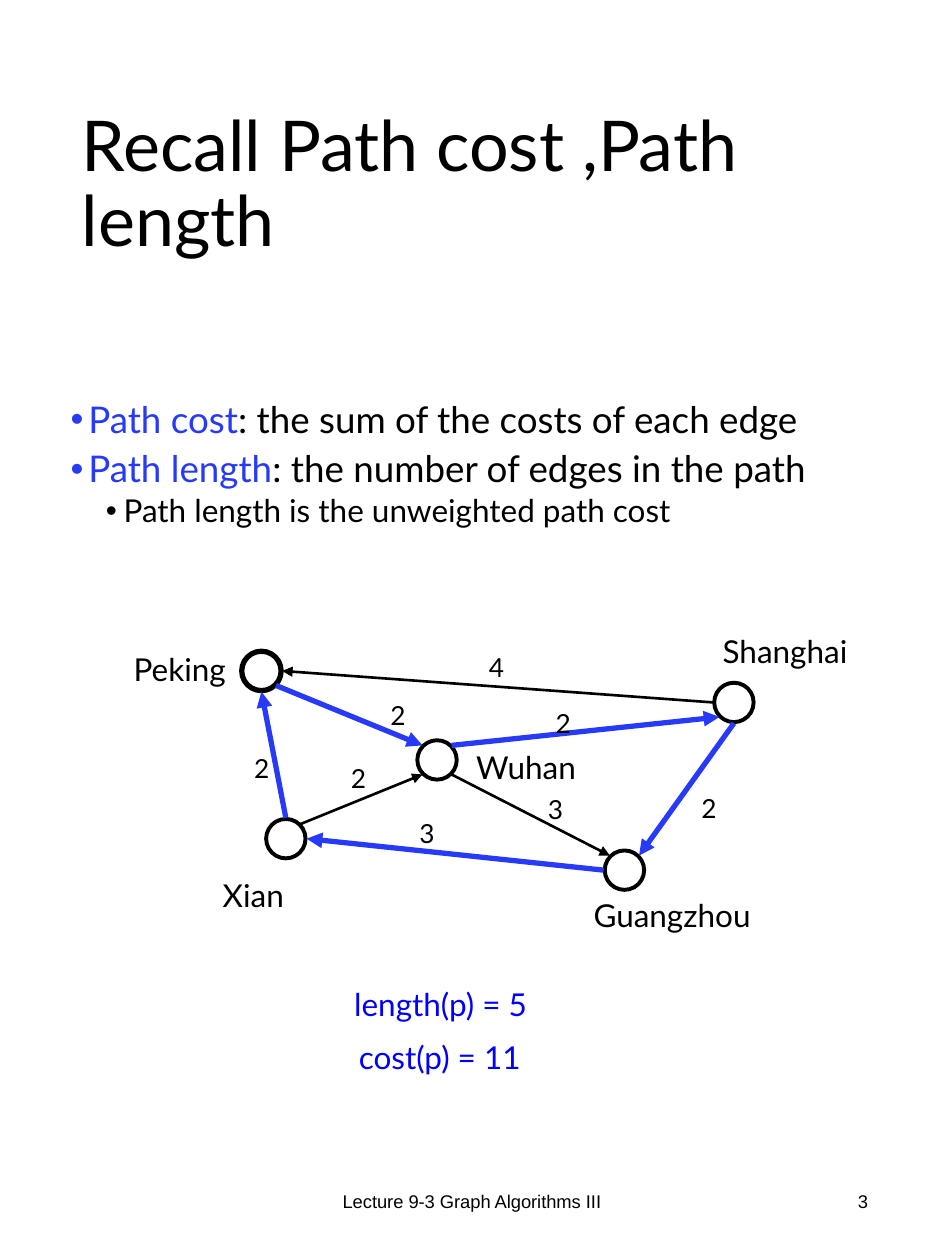
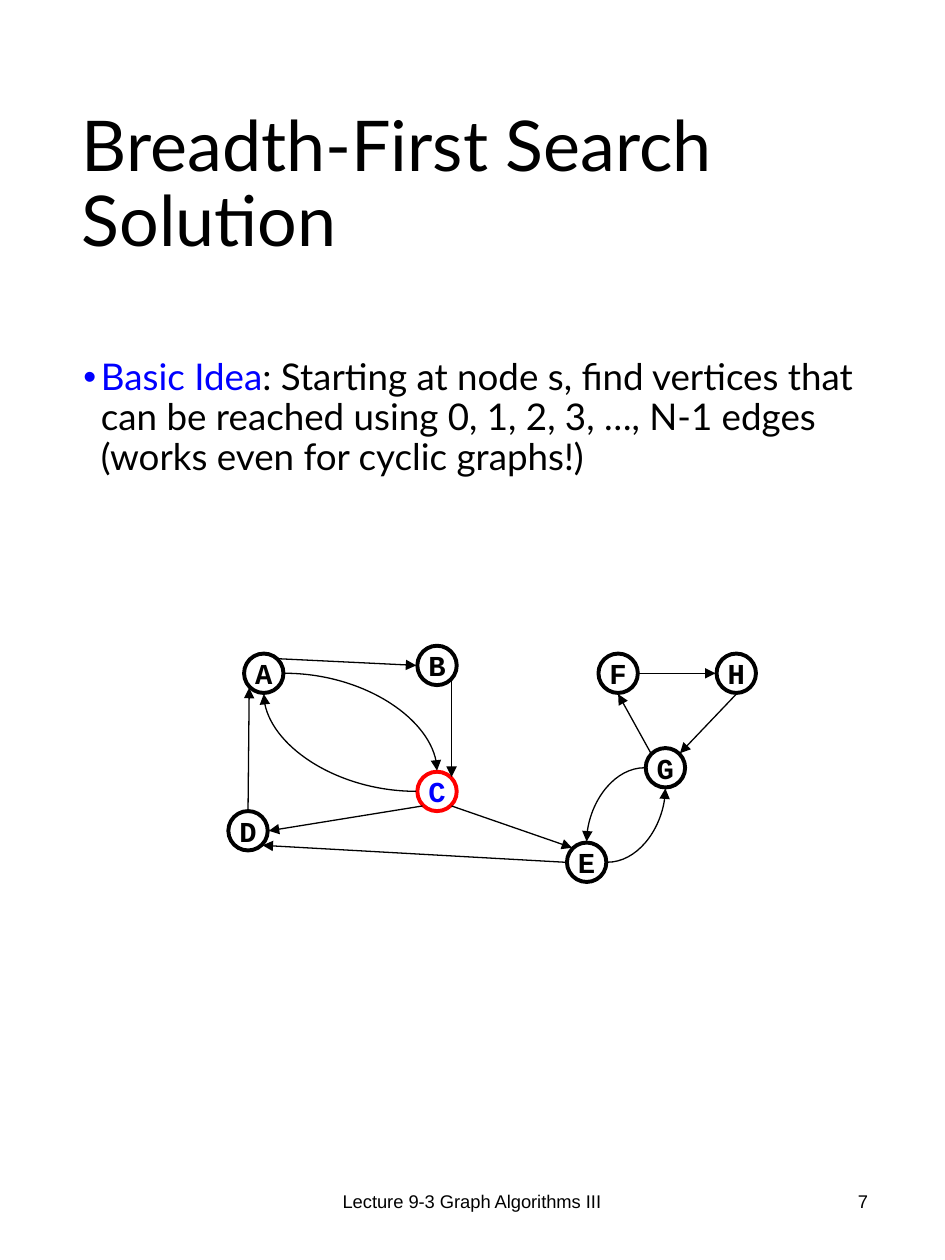
"""Build two slides on path cost and breadth-first search."""
from lxml.etree import SubElement
from pptx import Presentation
from pptx.dml.color import RGBColor
from pptx.enum.shapes import MSO_CONNECTOR, MSO_SHAPE
from pptx.enum.text import MSO_ANCHOR, MSO_AUTO_SIZE, PP_ALIGN
from pptx.oxml.ns import qn
from pptx.util import Inches, Pt

hue = RGBColor.from_string
BLACK, WHITE, RED = "000000", "FFFFFF", "FF0000"
BLUE, PATH = "0000FF", "263AF8"
SANS, FOOT, MONO = "Lato", "Arial", "Courier New"

deck = Presentation()
deck.slide_width, deck.slide_height = Inches(7.5), Inches(10)
UNIT = deck.slide_width / 120
DISC = 5
REACH = 2.64
DIAG = REACH * 0.7
SIDES = {
    "N": (0, -REACH), "S": (0, REACH), "W": (-REACH, 0), "E": (REACH, 0),
    "NW": (-DIAG, -DIAG), "NE": (DIAG, -DIAG),
    "SW": (-DIAG, DIAG), "SE": (DIAG, DIAG),
}


def label(page, words, area, size, color=BLACK, face=SANS, align=PP_ALIGN.LEFT, wrap=False):
    """Add a text box on the grid."""
    box = page.shapes.add_textbox(*[int(n * UNIT) for n in area])
    frame = box.text_frame
    frame.word_wrap = wrap
    frame.text = words
    para = frame.paragraphs[0]
    para.alignment = align
    para.font.size, para.font.name = Pt(size), face
    para.font.color.rgb = hue(color)
    return frame


def link(page, nodes, route, kind, color, width):
    """Draw an arrow between two sides of two nodes."""
    start, out, end, into = route.split()
    ends = []
    for name, side in ((start, out), (end, into)):
        for spot, shift in zip(nodes[name], SIDES[side]):
            ends.append(int((spot + DISC / 2 + shift) * UNIT))
    line = page.shapes.add_connector(kind, *ends)
    line.line.color.rgb, line.line.width = hue(color), Pt(width)
    SubElement(line.line._get_or_add_ln(), qn("a:tailEnd"), type="triangle")
    props = line._element.spPr
    SubElement(props, qn("a:effectLst"))
    if kind == MSO_CONNECTOR.CURVE:
        props.find(qn("a:prstGeom")).set("prst", "curvedConnector2")


cities = {
    "Xian": (33.8, 104), "Peking": (30.7, 82.7), "Wuhan": (53, 94),
    "Guangzhou": (76.8, 108), "Shanghai": (90.7, 86.7),
}
letters = {
    "A": (31, 83), "C": (53, 98), "B": (53, 82), "D": (29, 103),
    "F": (76, 83), "H": (91, 83), "G": (82, 95), "E": (72, 107),
}
pages = [
    ("Recall Path cost ,Path length", "3", (7.4, 50.2, 104.6, 23.5), PATH, [
        (0, "Path cost", ": the sum of the costs of each edge"),
        (0, "Path length", ": the number of edges in the path"),
        (1, "", "Path length is the unweighted path cost"),
    ], cities),
    ("Breadth-First Search Solution", "7", (9, 44.8, 102, 32.3), BLUE, [
        (0, "Basic Idea", ": Starting at node s, find vertices that can be reached "
                          "using 0, 1, 2, 3, …, N-1 edges (works even for cyclic graphs!)"),
    ], letters),
]

slides = []
for head, num, area, tint, points, nodes in pages:
    page = deck.slides.add_slide(deck.slide_layouts[5])
    slides.append(page)
    title = page.shapes.title
    title.left, title.top, title.width, title.height = [
        int(n * UNIT) for n in (8.8, 8.2, 103.5, 30.9)]
    frame = title.text_frame
    frame.text = head
    frame.word_wrap, frame.auto_size = True, MSO_AUTO_SIZE.NONE
    frame.vertical_anchor = MSO_ANCHOR.MIDDLE
    para = frame.paragraphs[0]
    para.alignment, para.line_spacing = PP_ALIGN.LEFT, 0.9
    font = para.runs[0].font
    font.size, font.name, font.color.rgb = Pt(40), SANS, hue(BLACK)

    for words, left, width, align in (
        ("Lecture 9-3 Graph Algorithms III", 39.7, 40.5, PP_ALIGN.CENTER),
        (num, 84.8, 27, PP_ALIGN.RIGHT),
    ):
        foot = label(page, words, (left, 148.3, width, 8.5), 10.5, BLACK, FOOT, align, True)
        foot.vertical_anchor = MSO_ANCHOR.MIDDLE

    body = label(page, "", area, 21, wrap=True)
    for i, (level, key, rest) in enumerate(points):
        para = body.add_paragraph() if i else body.paragraphs[0]
        para.level, para.line_spacing = level, 0.9
        if i:
            para.space_before = Pt(2.8 if level else 5.7)
        props = para._p.get_or_add_pPr()
        props.set("marL", str(Inches(0.14 + 0.28 * level)))
        props.set("indent", str(Inches(-0.14)))
        for old in props.findall(qn("a:defRPr")):
            props.remove(old)
        SubElement(props, qn("a:buFont"), typeface=FOOT)
        SubElement(props, qn("a:buChar"), char="•")
        for words, color in ((key, tint), (rest, BLACK)):
            if words:
                run = para.add_run()
                run.text = words
                run.font.size, run.font.name = Pt(18 if level else 21), SANS
                run.font.color.rgb = hue(color)

    for name, (x, y) in nodes.items():
        disc = page.shapes.add_shape(
            MSO_SHAPE.OVAL, *[int(n * UNIT) for n in (x, y, DISC, DISC)])
        disc.shadow.inherit = False
        disc.fill.solid()
        disc.fill.fore_color.rgb = hue(WHITE)
        disc.line.color.rgb = hue(RED if name == "C" else BLACK)
        disc.line.width = Pt(3 if name == "Peking" else 2.25)
        if nodes is letters:
            frame = disc.text_frame
            frame.text, frame.word_wrap = name, False
            frame.vertical_anchor = MSO_ANCHOR.MIDDLE
            para = frame.paragraphs[0]
            para.alignment = PP_ALIGN.CENTER
            font = para.runs[0].font
            font.size, font.name, font.bold = Pt(16.5), MONO, True
            font.color.rgb = hue(BLUE if name == "C" else BLACK)

cost, search = slides
for route in ("Xian N Peking S", "Shanghai S Guangzhou NE", "Peking SE Wuhan NW",
              "Wuhan NE Shanghai SW", "Guangzhou W Xian E"):
    link(cost, cities, route, MSO_CONNECTOR.STRAIGHT, PATH, 3)
for route in ("Shanghai W Peking E", "Xian NE Wuhan SW", "Wuhan SE Guangzhou NW"):
    link(cost, cities, route, MSO_CONNECTOR.STRAIGHT, BLACK, 1.5)
for route in ("A E C N", "C W A S", "G W E N", "E E G S"):
    link(search, letters, route, MSO_CONNECTOR.CURVE, BLACK, 0.75)
for route in ("A NE B W", "B SE C NE", "C SW D E", "D N A SW", "C SE E NW",
              "E W D SE", "G NW F S", "F E H W", "H S G NE"):
    link(search, letters, route, MSO_CONNECTOR.STRAIGHT, BLACK, 0.75)

for words, x, y, width, color in (
    ("Peking", 15.4, 81.8, 16, BLACK),
    ("Xian", 26.7, 110.4, 11.8, BLACK),
    ("Guangzhou", 73.8, 113, 24.3, BLACK),
    ("Shanghai", 90.2, 79.5, 20.6, BLACK),
    ("Wuhan", 58.9, 94.2, 17.8, BLACK),
    ("length(p) = 5", 43.4, 124.3, 28.3, BLUE),
    ("cost(p) = 11", 44, 131, 25.4, BLUE),
):
    label(cost, words, (x, y, width, 6.4), 18, color)
for words, x, y in (
    ("4", 60.5, 81.9), ("2", 48, 88), ("2", 69, 89), ("2", 87.5, 99.8),
    ("3", 51.7, 103), ("2", 30.7, 94.7), ("2", 43, 96), ("3", 68, 100),
):
    label(cost, words, (x, y, 5.2, 5.6), 15)

deck.save("out.pptx")
